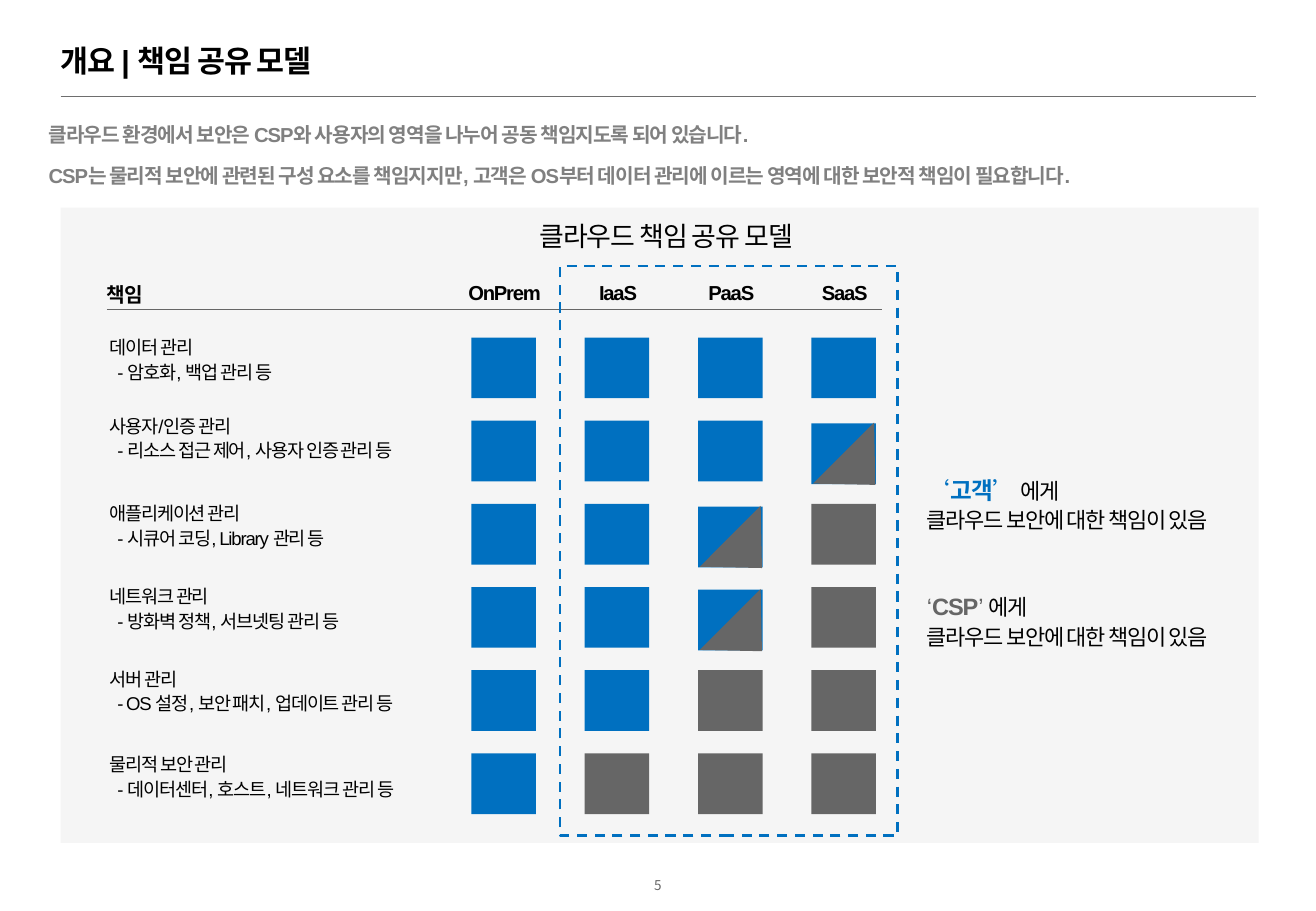
from lxml.etree import SubElement
from pptx import Presentation
from pptx.dml.color import RGBColor
from pptx.enum.dml import MSO_LINE
from pptx.enum.shapes import MSO_CONNECTOR, MSO_SHAPE
from pptx.enum.text import MSO_ANCHOR, PP_ALIGN
from pptx.oxml.ns import qn
from pptx.util import Pt

BLACK = RGBColor(0x00, 0x00, 0x00)
BLUE = RGBColor(0x00, 0x70, 0xC0)
GRAY = RGBColor(0x66, 0x66, 0x66)
RULE_GRAY = RGBColor(0x6E, 0x6E, 0x6E)
LEAD_GRAY = RGBColor(0x80, 0x80, 0x80)
PANEL_GRAY = RGBColor(0xF5, 0xF5, 0xF5)
LATIN_FONT, KOREAN_FONT = "Arial", "Noto Sans CJK KR"

TITLE = "개요 | 책임 공유 모델"
LEAD = [
    "클라우드 환경에서 보안은 CSP와 사용자의 영역을 나누어 공동 책임지도록 되어 있습니다.",
    "CSP는 물리적 보안에 관련된 구성 요소를 책임지지만, 고객은 OS부터 데이터 관리에 이르는 영역에 대한 보안적 책임이 필요합니다.",
]
MODEL_TITLE = "클라우드 책임 공유 모델"
ROW_HEADER = "책임"
SERVICES = ["OnPrem", "IaaS", "PaaS", "SaaS"]
CUSTOMER, SHARED, PROVIDER = "customer", "shared", "provider"
DUTIES = [
    ("데이터 관리", "- 암호화, 백업 관리 등", 212.4,
     [CUSTOMER, CUSTOMER, CUSTOMER, CUSTOMER]),
    ("사용자/인증 관리", "- 리소스 접근 제어, 사용자 인증 관리 등", 259.2,
     [CUSTOMER, CUSTOMER, CUSTOMER, SHARED]),
    ("애플리케이션 관리", "- 시큐어 코딩, Library 관리 등", 311,
     [CUSTOMER, CUSTOMER, SHARED, PROVIDER]),
    ("네트워크 관리", "- 방화벽 정책, 서브넷팅 관리 등", 360,
     [CUSTOMER, CUSTOMER, SHARED, PROVIDER]),
    ("서버 관리", "- OS 설정, 보안 패치, 업데이트 관리 등", 409,
     [CUSTOMER, CUSTOMER, PROVIDER, PROVIDER]),
    ("물리적 보안 관리", "- 데이터센터, 호스트, 네트워크 관리 등", 459.7,
     [CUSTOMER, PROVIDER, PROVIDER, PROVIDER]),
]
LEGEND = [("고객", BLUE, 298), ("CSP", GRAY, 367.2)]
LEGEND_TEXT = "클라우드 보안에 대한 책임이 있음"
PAGE_NUMBER = "5"

GRID_LEFT, GRID_TOP = 279.4, 200.1
COLUMN_STEP, ROW_STEP = 67.2, 49.3
CELL_WIDTH, CELL_HEIGHT = 38.2, 36
SHARED_DROP = 1.6
TRIANGLE_WIDTH, TRIANGLE_HEIGHT = 51.1, 26.6
TRIANGLE_CENTER_X, TRIANGLE_CENTER_Y = 28.4, 27
HEADER_WIDTH = 68.4


def style_run(run, size, color, bold, spacing, font=LATIN_FONT):
    run.font.size = Pt(size)
    run.font.bold = bold
    run.font.color.rgb = color
    run.font.name = font
    properties = run._r.get_or_add_rPr()
    properties.set("spc", str(round(spacing * 100)))
    SubElement(properties, qn("a:ea")).set("typeface", KOREAN_FONT)


def add_text(slide, box, lines, size, color=BLACK, bold=False, spacing=-0.7,
             align=PP_ALIGN.LEFT, line_spacing=1.1, gap=0,
             anchor=MSO_ANCHOR.MIDDLE, wrap=True, font=LATIN_FONT):
    frame = slide.shapes.add_textbox(*map(Pt, box)).text_frame
    frame.word_wrap = wrap
    frame.vertical_anchor = anchor
    frame.margin_left = frame.margin_right = frame.margin_top = frame.margin_bottom = 0
    frame.text = "\n".join(lines)
    for index, paragraph in enumerate(frame.paragraphs):
        paragraph.alignment = align
        paragraph.line_spacing = line_spacing
        if index and gap:
            paragraph.space_before = Pt(gap)
        for run in paragraph.runs:
            style_run(run, size, color, bold, spacing, font)
    return frame


def add_block(parent, kind, left, top, width, height, color=None):
    shape = parent.shapes.add_shape(kind, Pt(left), Pt(top), Pt(width), Pt(height))
    shape.shadow.inherit = False
    shape.line.fill.background()
    if color is None:
        shape.fill.background()
    else:
        shape.fill.solid()
        shape.fill.fore_color.rgb = color
    return shape


def add_rule(slide, left, right, y, color):
    rule = slide.shapes.add_connector(MSO_CONNECTOR.STRAIGHT, Pt(left), Pt(y), Pt(right), Pt(y))
    rule.line.color.rgb = color
    rule.line.width = Pt(0.5)
    SubElement(rule._element.spPr, qn("a:effectLst"))


def add_cell(slide, owner, left, top):
    if owner != SHARED:
        color = BLUE if owner == CUSTOMER else GRAY
        add_block(slide, MSO_SHAPE.RECTANGLE, left, top, CELL_WIDTH, CELL_HEIGHT, color)
        return
    top += SHARED_DROP
    group = slide.shapes.add_group_shape()
    add_block(group, MSO_SHAPE.RECTANGLE, left, top, CELL_WIDTH, CELL_HEIGHT, BLUE)
    triangle = add_block(group, MSO_SHAPE.ISOSCELES_TRIANGLE,
                         left + TRIANGLE_CENTER_X - TRIANGLE_WIDTH / 2,
                         top + TRIANGLE_CENTER_Y - TRIANGLE_HEIGHT / 2,
                         TRIANGLE_WIDTH, TRIANGLE_HEIGHT, GRAY)
    triangle.rotation = 135


def add_matrix(slide):
    add_rule(slide, 63.4, 522.7, 183.6, GRAY)
    add_text(slide, (63.4, 162, 39.6, 23.8), [ROW_HEADER], 12, bold=True)
    for column, service in enumerate(SERVICES):
        center = GRID_LEFT + column * COLUMN_STEP + CELL_WIDTH / 2
        add_text(slide, (center + 0.6 - HEADER_WIDTH / 2, 160.6, HEADER_WIDTH, 23.8),
                 [service], 12, bold=True, align=PP_ALIGN.CENTER)
    for row, (duty, detail, center, owners) in enumerate(DUTIES):
        frame = add_text(slide, (64.8, center - 21, 212, 42), [duty, detail], 11)
        frame.paragraphs[1]._p.get_or_add_pPr().set("marL", str(Pt(4.7)))
        for column, owner in enumerate(owners):
            add_cell(slide, owner, GRID_LEFT + column * COLUMN_STEP, GRID_TOP + row * ROW_STEP)


def add_legend(slide):
    for name, color, center in LEGEND:
        frame = add_text(slide, (549.4, center - 50.4, 211, 100.8), ["", LEGEND_TEXT], 13)
        pieces = [("‘", 14, color, False), (name, 14, color, True),
                  ("’ ", 14, color, False), ("에게", 13, BLACK, False)]
        for text, size, piece_color, bold in pieces:
            run = frame.paragraphs[0].add_run()
            run.text = text
            style_run(run, size, piece_color, bold, -0.7)


def main():
    presentation = Presentation()
    presentation.slide_width, presentation.slide_height = Pt(780), Pt(540)
    slide = presentation.slides.add_slide(presentation.slide_layouts[6])

    add_text(slide, (348, 516, 84, 15), [PAGE_NUMBER], 8, GRAY, spacing=0,
             align=PP_ALIGN.CENTER, line_spacing=1.3, font=KOREAN_FONT)
    add_rule(slide, 36, 744.5, 56.9, RULE_GRAY)
    add_text(slide, (36, 22.3, 532, 30.2), [TITLE], 18, bold=True, spacing=-0.6,
             line_spacing=0.9)
    add_block(slide, MSO_SHAPE.RECTANGLE, 36, 123.1, 710, 376.6, PANEL_GRAY)
    add_text(slide, (319.7, 130.3, 170.6, 19.4), [MODEL_TITLE], 16, spacing=-0.6,
             line_spacing=1, anchor=MSO_ANCHOR.TOP, wrap=False)
    add_text(slide, (28.8, 62.6, 740, 54), LEAD, 12, LEAD_GRAY, bold=True, spacing=-0.6,
             line_spacing=1.3, gap=6)
    add_matrix(slide)
    add_legend(slide)
    frame = add_block(slide, MSO_SHAPE.RECTANGLE, 331.9, 157.7, 200.2, 337.7)
    frame.line.color.rgb = BLUE
    frame.line.width = Pt(1.5)
    frame.line.dash_style = MSO_LINE.DASH
    presentation.save("out.pptx")


if __name__ == "__main__":
    main()
